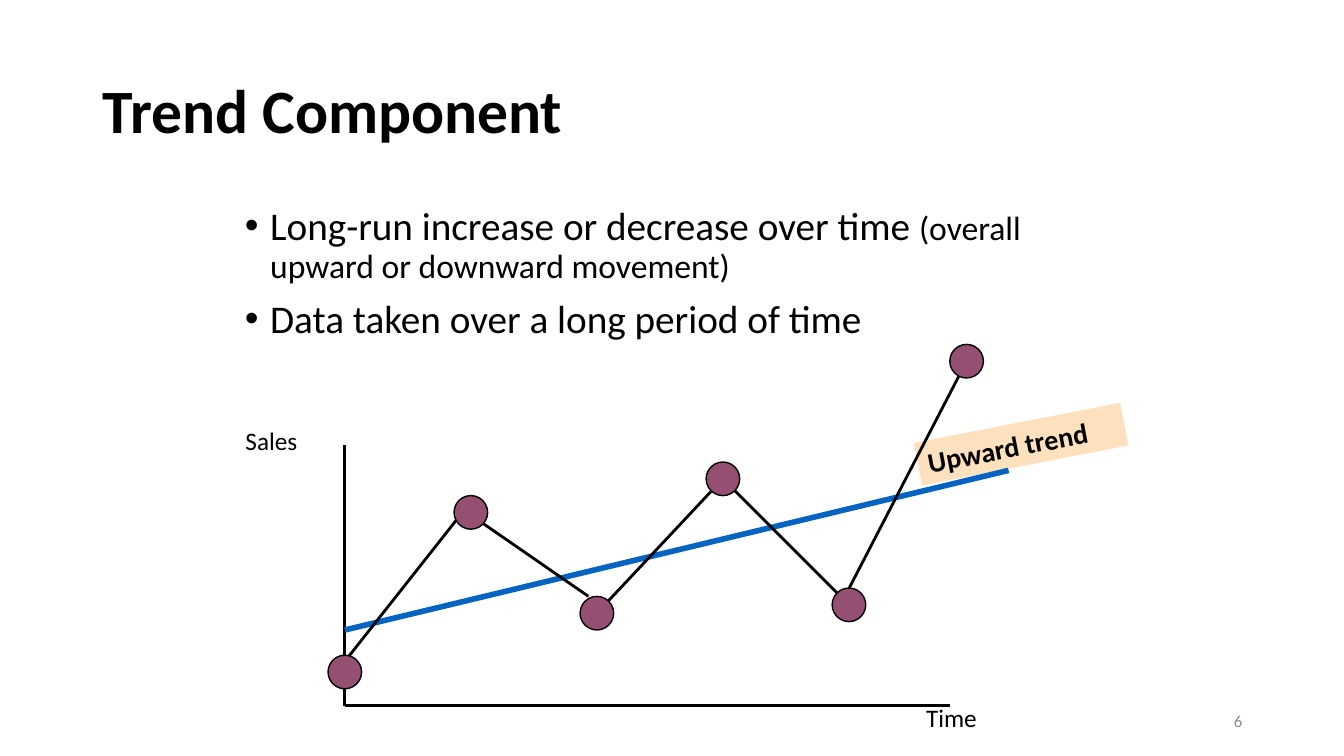
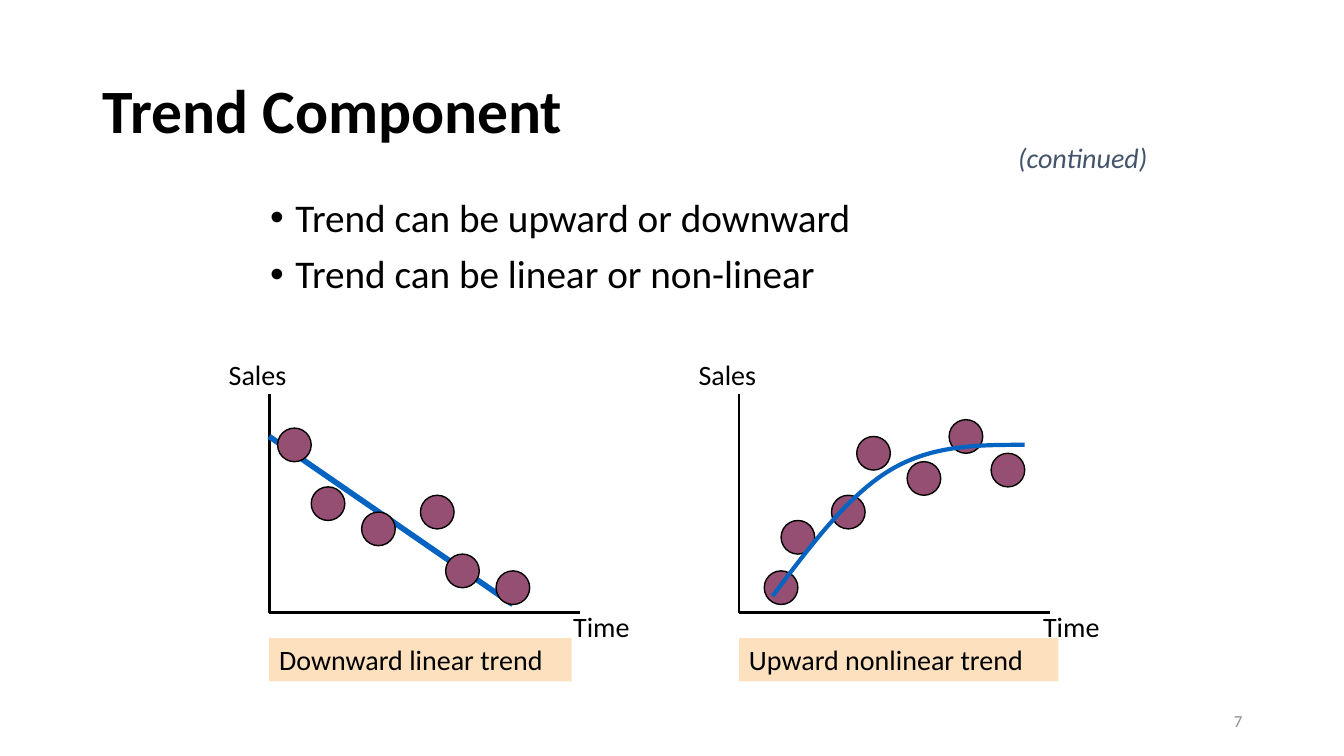
from lxml import etree
from pptx import Presentation
from pptx.dml.color import RGBColor
from pptx.enum.shapes import MSO_CONNECTOR, MSO_SHAPE
from pptx.enum.text import MSO_ANCHOR, PP_ALIGN
from pptx.oxml.ns import qn
from pptx.util import Inches, Pt

# Shared look
BLACK = RGBColor(0x00, 0x00, 0x00)
GREY = RGBColor(0x8C, 0x8C, 0x8C)
SLATE = RGBColor(0x44, 0x54, 0x6A)
BLUE = RGBColor(0x05, 0x63, 0xC1)
PLUM = RGBColor(0x95, 0x4F, 0x72)
PEACH = RGBColor(0xFD, 0xE0, 0xBD)
FONT = "Calibri"
UNIT = 1 / 12  # plot grid step in inches
DOT = 4        # marker diameter in grid steps
TITLE_BOX = (0.92, 0.4, 11.5, 1.45)
NUMBER_BOX = (9.42, 6.95, 3, 0.4)
NOTE_BOX = (10, 1.34, 1.5, 0.44)

# Content: plot coordinates are grid steps right of and above the origin
SLIDES = [
    dict(
        title="Trend Component", number="6",
        body=(2.33, 2, 8.33, 2.02),
        bullets=[
            [("Long-run increase or decrease over time ", 28),
             ("(overall upward or downward movement)", 24)],
            [("Data taken over a long period of time", 28)],
        ],
        plots=[dict(
            origin=(3.42, 7), axes=(72, 31), size=18,
            sales=(-13, 34), time=(68, 1),
            caption=("Upward trend", (68, 33.7), 25, 349, True),
            trend=[(0, 9), (79, 28)],
            segments=[((-1, 4), (14, 23)), ((16, 22), (29, 13)),
                      ((30, 11), (45, 27)), ((46, 26), (59, 13)),
                      ((59, 12), (74, 41))],
            dots=[(-2, 6), (13, 25), (28, 13), (43, 29), (58, 14), (72, 43)],
        )],
    ),
    dict(
        title="Trend Component", number="7", note="(continued)",
        body=(2.58, 1.92, 8.33, 1.47),
        bullets=[[("Trend can be upward or downward", 28)],
                 [("Trend can be linear or non-linear", 28)]],
        plots=[
            dict(origin=(2.67, 6.08), axes=(37, 26), size=20,
                 sales=(-6, 31), time=(35, 1),
                 caption=("Downward linear trend", (0, -3), 36, 0, False),
                 trend=[(0, 21), (29, 1)],
                 dots=[(1, 22), (5, 15), (21, 7), (18, 14), (11, 12), (27, 5)]),
            dict(origin=(7.33, 6.08), axes=(37, 26), size=20,
                 sales=(-6, 31), time=(35, 1),
                 caption=("Upward nonlinear trend", (0, -3), 38, 0, False),
                 curve=[(4, 2), (8.5, 8), (13, 14), (18, 17),
                        (23, 20), (28.5, 20), (34, 20)],
                 dots=[(3, 5), (5, 11), (20, 18), (14, 21), (11, 14),
                       (25, 23), (30, 19)]),
        ],
    ),
]


def style(target, **values):
    for name, value in values.items():
        setattr(target, name, value)


def place(shape, box):
    style(shape, **dict(zip(("left", "top", "width", "height"), map(Inches, box))))


def add_run(p, text, size, color=BLACK, **fmt):
    r = p.add_run()
    r.text = text
    style(r.font, name=FONT, size=Pt(size), **fmt)
    r.font.color.rgb = color


def add_label(s, text, box, size, color=BLACK, align=PP_ALIGN.LEFT,
              anchor=MSO_ANCHOR.TOP, **fmt):
    sp = s.shapes.add_textbox(*map(Inches, box))
    style(sp.text_frame, word_wrap=True, vertical_anchor=anchor)
    p = sp.text_frame.paragraphs[0]
    p.alignment = align
    add_run(p, text, size, color, **fmt)
    return sp


def add_line(s, start, end, color=BLACK, width=2):
    line = s.shapes.add_connector(MSO_CONNECTOR.STRAIGHT, *start, *end)
    line.line.color.rgb = color
    line.line.width = Pt(width)
    etree.SubElement(line._element.spPr, qn("a:effectLst"))


def add_curve(s, points):
    builder = s.shapes.build_freeform(*points[0])
    builder.add_line_segments(points[1:], close=False)
    sp = builder.convert_to_shape()
    sp.shadow.inherit = False
    sp.fill.background()
    sp.line.color.rgb = BLUE
    sp.line.width = Pt(3)
    # Every three straight segments become one cubic Bézier
    steps = sp._element.xpath(".//a:lnTo")
    outline = steps[0].getparent()
    for i in range(0, len(steps), 3):
        cubic = etree.SubElement(outline, qn("a:cubicBezTo"))
        for step in steps[i:i + 3]:
            cubic.append(step[0])
            outline.remove(step)


def add_plot(s, plot):
    x0, y0 = plot["origin"]

    def inch(point):
        return x0 + point[0] * UNIT, y0 - point[1] * UNIT

    def at(point):
        return tuple(map(Inches, inch(point)))

    # Caption
    text, corner, width, rotation, bold = plot["caption"]
    caption = add_label(s, text, (*inch(corner), width * UNIT, 0.43), 20, bold=bold)
    caption.rotation = rotation
    caption.fill.solid()
    caption.fill.fore_color.rgb = PEACH

    # Axes
    right, top = plot["axes"]
    for end in ((0, top), (right, 0)):
        add_line(s, at((0, 0)), at(end))
    for text, corner in (("Sales", plot["sales"]), ("Time", plot["time"])):
        add_label(s, text, (*inch(corner), 1.1, 0.4), plot["size"])

    # Trend and data
    if "trend" in plot:
        add_line(s, *map(at, plot["trend"]), BLUE, 4)
    for start, end in plot.get("segments", []):
        add_line(s, at(start), at(end))
    for corner in plot["dots"]:
        side = Inches(DOT * UNIT)
        dot = s.shapes.add_shape(MSO_SHAPE.OVAL, *at(corner), side, side)
        dot.shadow.inherit = False
        dot.fill.solid()
        dot.fill.fore_color.rgb = PLUM
        dot.line.color.rgb = BLACK
        dot.line.width = Pt(1)
    if "curve" in plot:
        add_curve(s, [at(point) for point in plot["curve"]])


def add_slide(prs, data):
    s = prs.slides.add_slide(prs.slide_layouts[1])
    title, body = s.placeholders

    # Title and bullets
    place(title, TITLE_BOX)
    title.text_frame.vertical_anchor = MSO_ANCHOR.MIDDLE
    p = title.text_frame.paragraphs[0]
    style(p, alignment=PP_ALIGN.LEFT, line_spacing=0.9)
    add_run(p, data["title"], 44, bold=True)
    place(body, data["body"])
    tf = body.text_frame
    for i, runs in enumerate(data["bullets"]):
        p = tf.add_paragraph() if i else tf.paragraphs[0]
        style(p, line_spacing=0.9, space_before=Pt(10))
        pPr = p._p.get_or_add_pPr()
        pPr.set("marL", str(Inches(0.25)))
        pPr.set("indent", str(-Inches(0.25)))
        for text, size in runs:
            add_run(p, text, size)

    # Plots, note and slide number
    for plot in data["plots"]:
        add_plot(s, plot)
    if "note" in data:
        add_label(s, data["note"], NOTE_BOX, 20, SLATE, italic=True)
    add_label(s, data["number"], NUMBER_BOX, 12, GREY, PP_ALIGN.RIGHT, MSO_ANCHOR.MIDDLE)


def main():
    prs = Presentation()
    style(prs, slide_width=Inches(13.33), slide_height=Inches(7.5))
    for data in SLIDES:
        add_slide(prs, data)
    prs.save("out.pptx")


if __name__ == "__main__":
    main()
